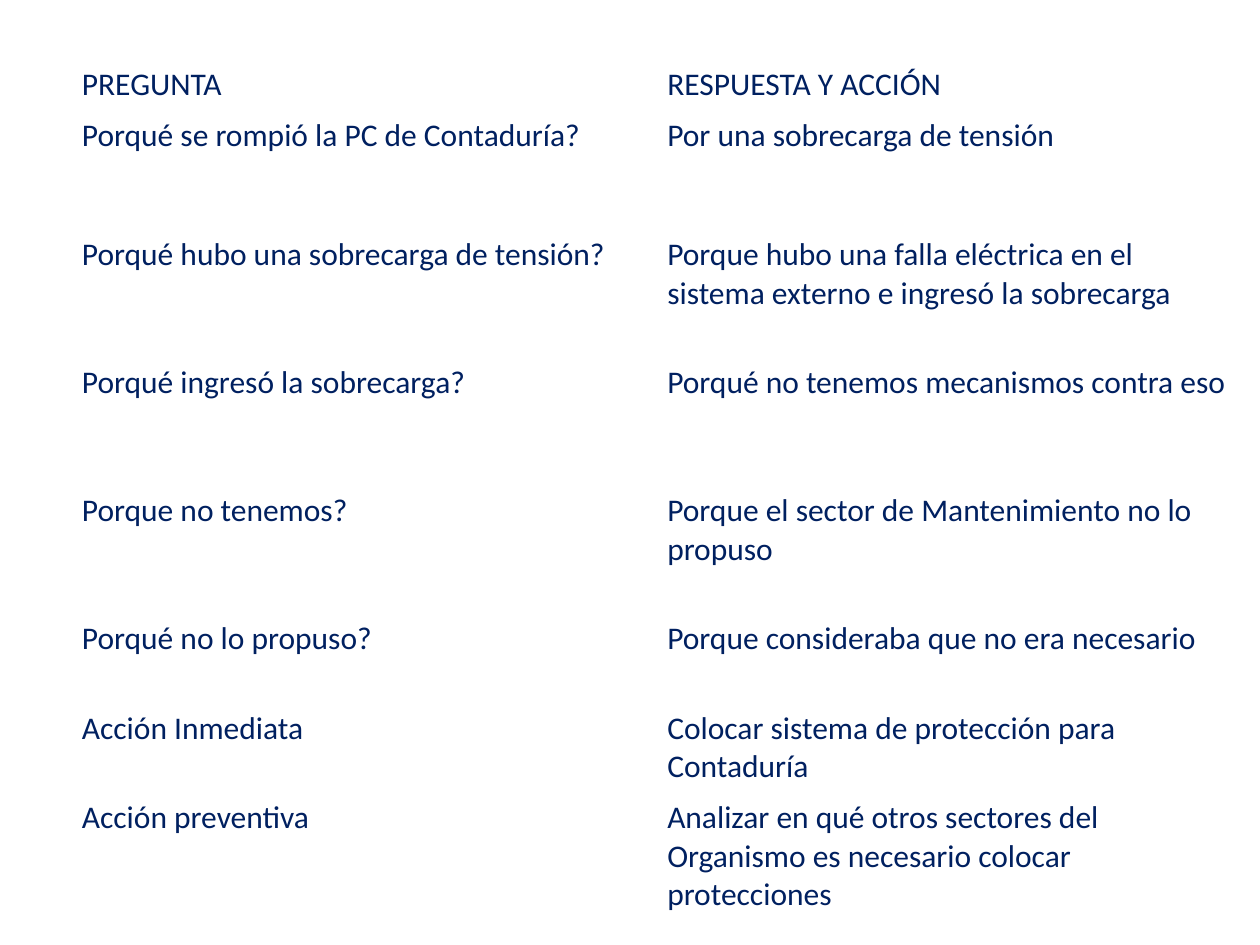
import pptx
import pptx.dml.color
import pptx.oxml
import pptx.oxml.ns
import pptx.util
from dataclasses import dataclass

Pt = pptx.util.Pt
COLORS = {"text": "002060", "fill": "FFFFFF", "border": "FFFFFF"}
FONT = {"name": "Calibri", "size": Pt(18), "bold": False}
LINE = 22
PAD = 3.6


@dataclass
class Row:
    question: str
    answer: str
    height: float
    lines_above: int = 0


ROWS = [
    Row("PREGUNTA", "RESPUESTA Y ACCIÓN", 26.6),
    Row("Porqué se rompió la PC de Contaduría?", "Por una sobrecarga de tensión", 46),
    Row("Porqué hubo una sobrecarga de tensión?",
        "Porque hubo una falla eléctrica en el sistema externo e ingresó la sobrecarga",
        65.5, 1),
    Row("Porqué ingresó la sobrecarga?", "Porqué no tenemos mecanismos contra eso", 46, 1),
    Row("Porque no tenemos?", "Porque el sector de Mantenimiento no lo propuso", 85.7, 2),
    Row("Porqué no lo propuso?", "Porque consideraba que no era necesario", 46, 1),
    Row("Acción Inmediata", "Colocar sistema de protección para Contaduría", 65.5, 1),
    Row("Acción preventiva",
        "Analizar en qué otros sectores del Organismo es necesario colocar protecciones", 46),
]


def rgb(name: str) -> pptx.dml.color.RGBColor:
    return pptx.dml.color.RGBColor.from_string(COLORS[name])


def add_borders(cell, bottom: float) -> None:
    tc_pr = cell._tc.get_or_add_tcPr()
    widths = {"lnL": 1, "lnR": 1, "lnT": 1, "lnB": bottom}
    for i, (tag, width) in enumerate(widths.items()):
        tc_pr.insert(i, pptx.oxml.parse_xml(
            f'<a:{tag} {pptx.oxml.ns.nsdecls("a")} w="{Pt(width)}"><a:solidFill>'
            f'<a:srgbClr val="{COLORS["border"]}"/></a:solidFill></a:{tag}>'))


def fill_cell(cell, text: str, lines_above: int, bottom: float) -> None:
    cell.margin_top = Pt(PAD + LINE * lines_above)
    cell.fill.solid()
    cell.fill.fore_color.rgb = rgb("fill")
    add_borders(cell, bottom)
    p = cell.text_frame.paragraphs[0]
    r = p.add_run()
    r.text = text
    for name, value in FONT.items():
        setattr(r.font, name, value)
    r.font.color.rgb = rgb("text")


def add_question_table(s, rows: list[Row]) -> None:
    height = sum(row.height for row in rows)
    table = s.shapes.add_table(len(rows), 2, Pt(39.6), Pt(33.9), Pt(669), Pt(height)).table
    table.horz_banding = False
    for i, row in enumerate(rows):
        table.rows[i].height = Pt(row.height)
        bottom = 3 if i == 0 else 1
        for j, text in enumerate((row.question, row.answer)):
            fill_cell(table.cell(i, j), text, row.lines_above, bottom)


def main() -> None:
    prs = pptx.Presentation()
    prs.slide_width, prs.slide_height = Pt(720), Pt(540)
    s = prs.slides.add_slide(prs.slide_layouts[6])
    add_question_table(s, ROWS)
    prs.save("out.pptx")


if __name__ == "__main__":
    main()
